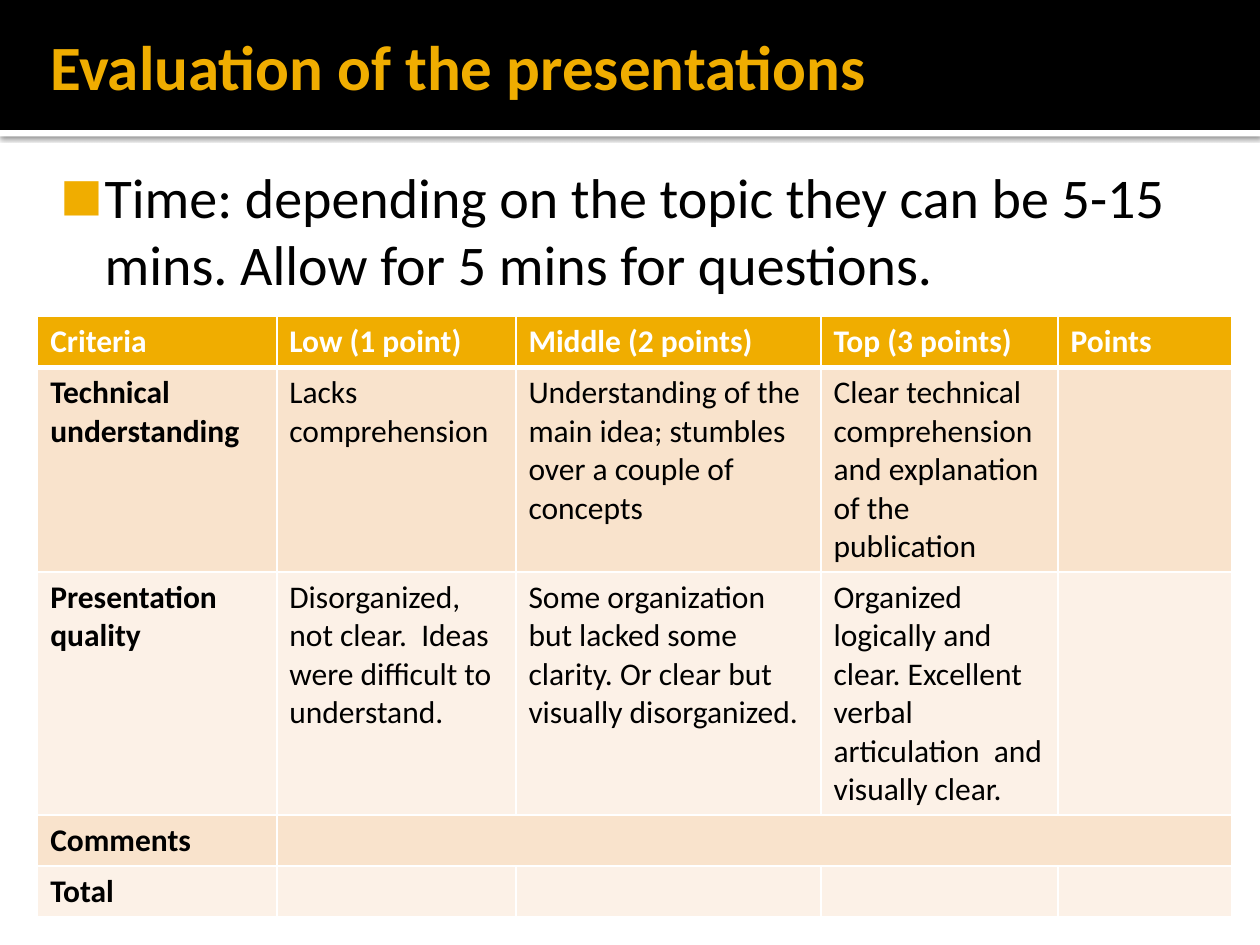
import lxml.etree
import pptx
import pptx.dml.color
import pptx.enum.shapes
import pptx.enum.text
import pptx.oxml.ns
import pptx.util

Cm = pptx.util.Cm
Pt = pptx.util.Pt
RGBColor = pptx.dml.color.RGBColor
qn = pptx.oxml.ns.qn

BLACK = RGBColor(0x00, 0x00, 0x00)
WHITE = RGBColor(0xFF, 0xFF, 0xFF)
GOLD = RGBColor(0xF0, 0xAD, 0x00)
BAND_DARK = RGBColor(0xF9, 0xE3, 0xCC)
BAND_LIGHT = RGBColor(0xFC, 0xF1, 0xE7)
FONT = "Calibri"

COLUMN_WIDTHS = (4.82, 4.82, 6.15, 4.78, 3.51)
ROW_HEIGHTS = (1.03, 4.12, 4.9, 1.03, 1.03)
COMMENTS_ROW = 3
RUBRIC = (
    ("Criteria", "Low (1 point)", "Middle (2 points)", "Top (3 points)", "Points"),
    (
        "Technical understanding",
        "Lacks comprehension",
        "Understanding of the main idea; stumbles over a couple of concepts",
        "Clear technical comprehension and explanation of the publication",
        "",
    ),
    (
        "Presentation quality",
        "Disorganized, not clear.  Ideas were difficult to understand.",
        "Some organization but lacked some clarity. Or clear but visually disorganized.",
        "Organized logically and clear. Excellent verbal articulation  and visually clear.",
        "",
    ),
    ("Comments", "", "", "", ""),
    ("Total", "", "", "", ""),
)


def add_child(parent, tag, **attributes):
    child = lxml.etree.SubElement(parent, qn(tag))
    for name, value in attributes.items():
        child.set(name, str(value))
    return child


def add_span(para, text, size, color, bold=False):
    span = para.add_run()
    span.text = text
    span.font.name = FONT
    span.font.size = Pt(size)
    span.font.bold = bold
    span.font.color.rgb = color


def add_bar(page, left, top, width, height, color):
    bar = page.shapes.add_shape(
        pptx.enum.shapes.MSO_SHAPE.RECTANGLE, Cm(left), Cm(top), Cm(width), Cm(height)
    )
    bar.shadow.inherit = False
    bar.fill.solid()
    bar.fill.fore_color.rgb = color
    bar.line.fill.background()
    return bar


def add_text_box(page, left, top, width, height, insets):
    """Add a wrapping text box; insets run left, top, right, bottom."""
    box = page.shapes.add_textbox(Cm(left), Cm(top), Cm(width), Cm(height))
    frame = box.text_frame
    frame.word_wrap = True
    (frame.margin_left, frame.margin_top,
     frame.margin_right, frame.margin_bottom) = map(Cm, insets)
    return frame


def add_header(page, left, top, width, height):
    """Add the black title band with a shadowed white strip below it."""
    strip = add_bar(page, left, top + height, width, 0.13, WHITE)
    effects = strip.element.spPr.find(qn("a:effectLst"))
    shadow = add_child(effects, "a:outerShdw", blurRad=Pt(2.5), dist=Pt(0.8),
                       dir=90 * 60000, algn="tl", rotWithShape=0)
    color = add_child(shadow, "a:srgbClr", val=BLACK)
    add_child(color, "a:alpha", val=60000)
    add_bar(page, left, top, width, height, BLACK)

    frame = add_text_box(page, left + 0.76, top, width - 1.32, height,
                         (0.25, 0.13, 0.13, 0.13))
    frame.vertical_anchor = pptx.enum.text.MSO_ANCHOR.MIDDLE
    add_span(frame.paragraphs[0], "Evaluation of the presentations", 36, GOLD, True)


def add_time_note(page, left, top, width, height):
    frame = add_text_box(page, left, top, width, height, (0.15, 0.25, 0.25, 0.13))
    para = frame.paragraphs[0]
    add_span(para, "Time: depending on the topic they can be 5-15 mins. "
                   "Allow for 5 mins for questions.", 32, BLACK)
    properties = para._p.get_or_add_pPr()
    properties.set("marL", str(Cm(1.22)))
    properties.set("indent", str(Cm(-0.89)))
    bullet_color = add_child(properties, "a:buClr")
    add_child(bullet_color, "a:srgbClr", val=GOLD)
    add_child(properties, "a:buSzPct", val=80000)
    add_child(properties, "a:buFont", typeface=FONT)
    add_child(properties, "a:buChar", char="■")


def set_borders(cell, top, bottom):
    """Draw white cell edges; top and bottom are line widths in points."""
    properties = cell._tc.get_or_add_tcPr()
    edges = (("a:lnL", 1), ("a:lnR", 1), ("a:lnT", top), ("a:lnB", bottom))
    for position, (tag, width) in enumerate(edges):
        line = add_child(properties, tag, w=Pt(width))
        add_child(add_child(line, "a:solidFill"), "a:srgbClr", val=WHITE)
        properties.insert(position, line)


def add_rubric(page, left, top):
    table = page.shapes.add_table(
        len(RUBRIC), len(COLUMN_WIDTHS), Cm(left), Cm(top),
        Cm(sum(COLUMN_WIDTHS)), Cm(sum(ROW_HEIGHTS))
    ).table
    for column, width in zip(table.columns, COLUMN_WIDTHS):
        column.width = Cm(width)
    for row, height in zip(table.rows, ROW_HEIGHTS):
        row.height = Cm(height)

    for row_index, texts in enumerate(RUBRIC):
        is_header = row_index == 0
        band = BAND_DARK if row_index % 2 else BAND_LIGHT
        for column_index, text in enumerate(texts):
            cell = table.cell(row_index, column_index)
            cell.fill.solid()
            cell.fill.fore_color.rgb = GOLD if is_header else band
            set_borders(cell, 3 if row_index == 1 else 1, 3 if is_header else 1)
            if text:
                add_span(cell.text_frame.paragraphs[0], text, 18,
                         WHITE if is_header else BLACK,
                         is_header or column_index == 0)
    table.cell(COMMENTS_ROW, 1).merge(table.cell(COMMENTS_ROW, len(COLUMN_WIDTHS) - 1))


def main():
    deck = pptx.Presentation()
    deck.slide_width = Cm(25.4)
    deck.slide_height = Cm(19.05)
    page = deck.slides.add_slide(deck.slide_layouts[6])
    add_header(page, 0, 0, 25.4, 2.62)
    add_time_note(page, 0.74, 3.02, 24.1, 15.16)
    add_rubric(page, 0.76, 6.38)
    deck.save("out.pptx")


if __name__ == "__main__":
    main()
